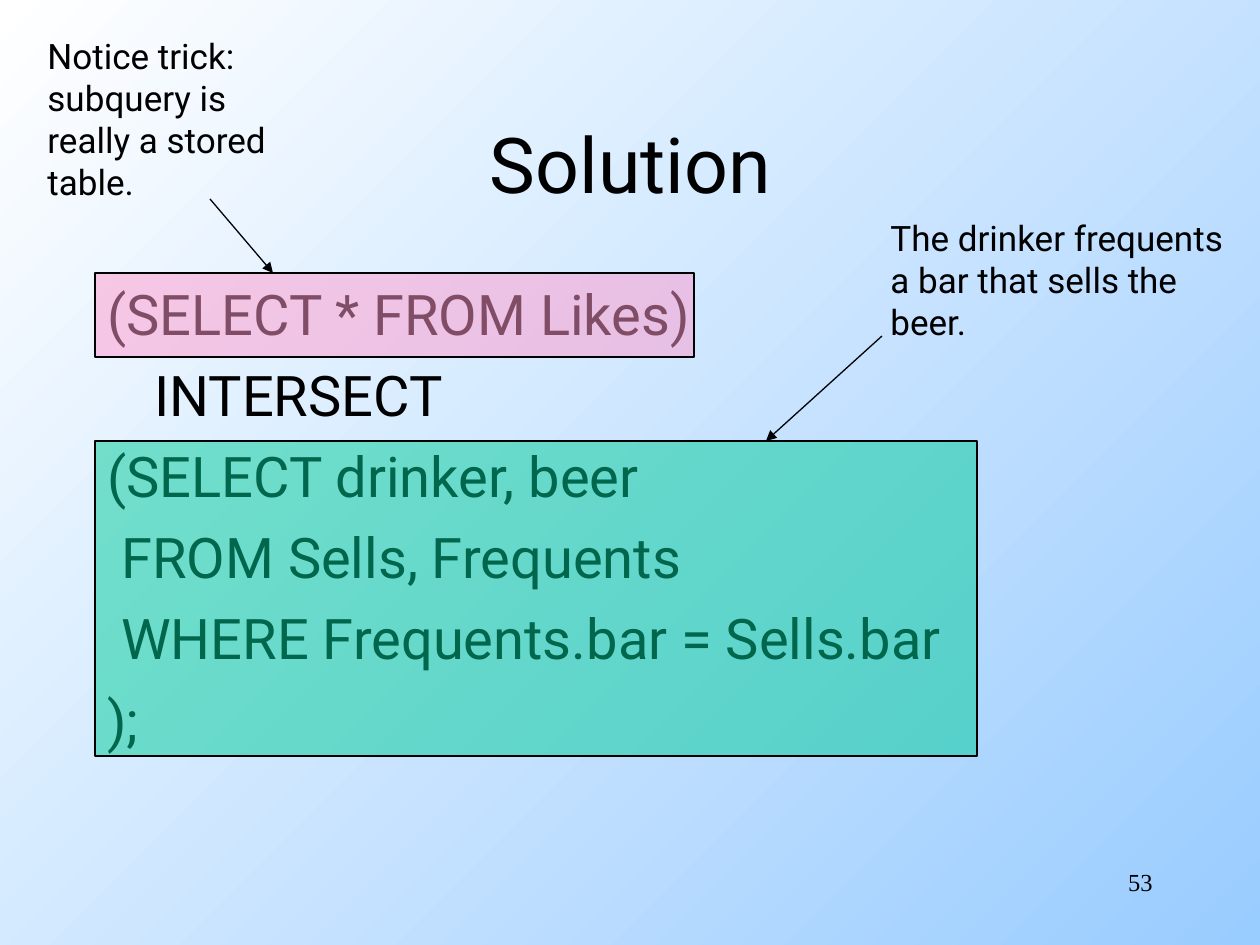
from lxml.etree import SubElement
from pptx import Presentation
from pptx.dml.color import RGBColor
from pptx.enum.shapes import MSO_CONNECTOR, MSO_SHAPE
from pptx.enum.text import MSO_ANCHOR, PP_ALIGN
from pptx.oxml.ns import qn
from pptx.util import Emu, Pt

PX_PER_INCH = 126
BLACK = "000000"
ROBOTO = "Roboto"

QUERY = [
    "(SELECT * FROM Likes)",
    "\tINTERSECT",
    "(SELECT drinker, beer",
    " FROM Sells, Frequents",
    " WHERE Frequents.bar = Sells.bar",
    ");",
]
TRICK_NOTE = ["Notice trick:", "subquery is", "really a stored", "table."]
BAR_NOTE = ["The drinker frequents", "a bar that sells the", "beer."]


def px(length):
    return Emu(round(length * 914400 / PX_PER_INCH))


def color(hex_string):
    return RGBColor.from_string(hex_string)


def set_background(slide, start, end, angle):
    fill = slide.background.fill
    fill.gradient()
    fill.gradient_angle = angle
    for stop, hex_string in zip(fill.gradient_stops, (start, end)):
        stop.color.rgb = color(hex_string)


def add_text(shapes, box, lines, size, font=ROBOTO, align=PP_ALIGN.LEFT,
             anchor=MSO_ANCHOR.TOP, wrap=True, space_before=0, hanging=0):
    frame = shapes.add_textbox(*map(px, box)).text_frame
    frame.word_wrap = wrap
    frame.vertical_anchor = anchor
    for index, line in enumerate(lines):
        paragraph = frame.add_paragraph() if index else frame.paragraphs[0]
        paragraph.alignment = align
        if index and space_before:
            paragraph.space_before = Pt(space_before)
        if hanging:
            properties = paragraph._p.get_or_add_pPr()
            properties.set("marL", str(px(hanging)))
            properties.set("indent", str(-px(hanging)))
        run = paragraph.add_run()
        run.text = line
        run.font.name = font
        run.font.size = Pt(size)
        run.font.color.rgb = color(BLACK)


def add_highlight(shapes, box, hex_string):
    shape = shapes.add_shape(MSO_SHAPE.RECTANGLE, *map(px, box))
    shape.shadow.inherit = False
    shape.fill.solid()
    shape.fill.fore_color.rgb = color(hex_string)
    # Half transparent, so the query shows through
    fill_color = shape._element.spPr.find(qn("a:solidFill"))[0]
    SubElement(fill_color, qn("a:alpha")).set("val", "50000")
    shape.line.color.rgb = color(BLACK)
    shape.line.width = Pt(0.75)


def add_arrow(shapes, start, end):
    arrow = shapes.add_connector(MSO_CONNECTOR.STRAIGHT, *map(px, start + end))
    arrow.line.color.rgb = color(BLACK)
    arrow.line.width = Pt(0.75)
    SubElement(arrow.line._get_or_add_ln(), qn("a:tailEnd")).set("type", "triangle")
    SubElement(arrow._element.spPr, qn("a:effectLst"))


def add_callout(slide, highlight, fill, note_box, note, start, end):
    shapes = slide.shapes.add_group_shape().shapes
    add_highlight(shapes, highlight, fill)
    add_text(shapes, note_box, note, 20, wrap=False)
    add_arrow(shapes, start, end)


def main():
    presentation = Presentation()
    presentation.slide_width = px(1260)
    presentation.slide_height = px(945)
    slide = presentation.slides.add_slide(presentation.slide_layouts[6])
    set_background(slide, "99CCFF", "FFFFFF", 135)

    # Page number, title and query
    add_text(slide.shapes, (903, 861, 262, 63), ["53"], 14,
             font="Times New Roman", align=PP_ALIGN.RIGHT)
    add_text(slide.shapes, (95, 84, 1071, 158), ["Solution"], 44,
             align=PP_ALIGN.CENTER, anchor=MSO_ANCHOR.MIDDLE)
    add_text(slide.shapes, (95, 273, 1071, 567), QUERY, 32,
             space_before=8, hanging=47)

    # Notes on the two subqueries
    add_callout(slide, (95, 441, 882, 315), "00CC99",
                (878, 210, 384, 139), BAR_NOTE, (882, 336), (766, 441))
    add_callout(slide, (95, 273, 599, 84), "FF99CC",
                (35, 28, 260, 181), TRICK_NOTE, (210, 199), (273, 273))

    presentation.save("out.pptx")


if __name__ == "__main__":
    main()
